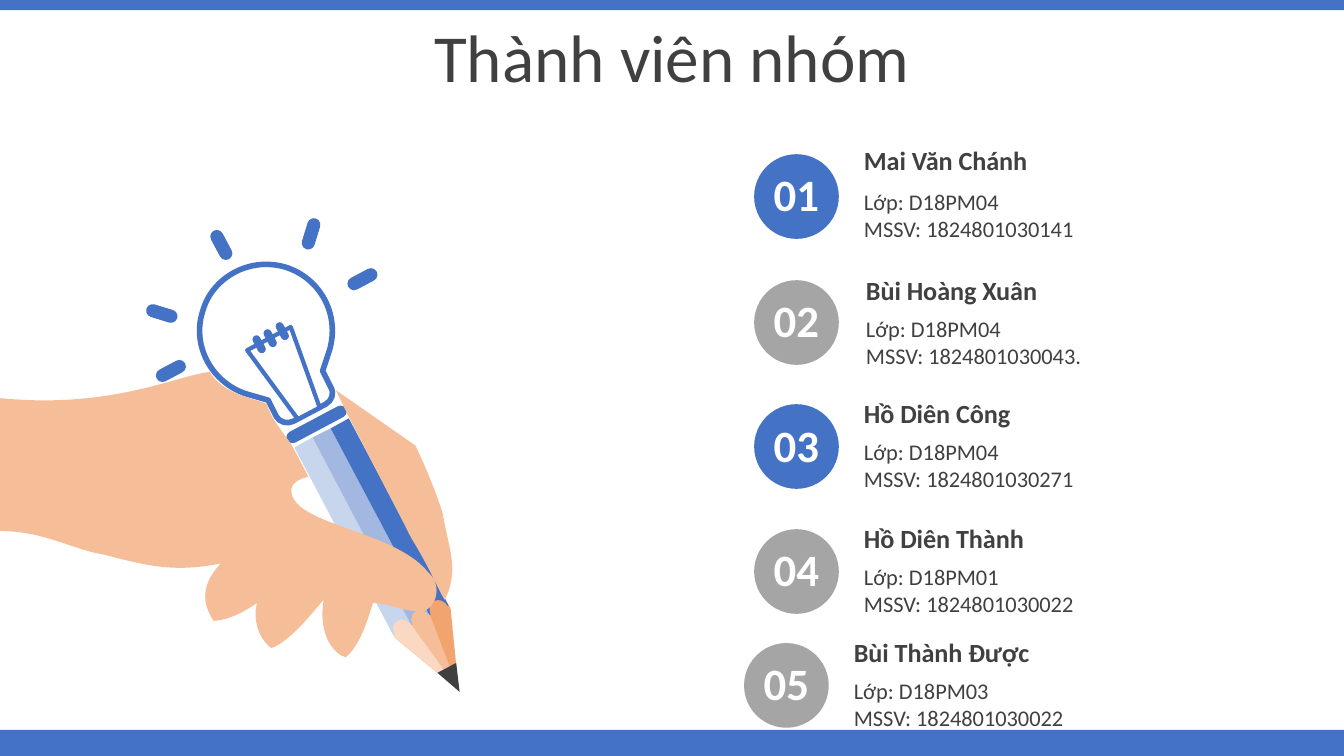
"""Build the team members slide with a hand drawing a light bulb pencil."""
from lxml.etree import SubElement
from pptx import Presentation
from pptx.dml.color import RGBColor
from pptx.enum.shapes import MSO_SHAPE
from pptx.enum.text import MSO_ANCHOR, MSO_AUTO_SIZE, PP_ALIGN
from pptx.oxml.ns import qn
from pptx.util import Pt

PX = 9144
FONT = "Calibri"
COLORS = {
    "blue": "4472C4",
    "mid_blue": "A2B8E1",
    "light_blue": "C7D5ED",
    "gray": "A5A5A5",
    "dark": "404040",
    "white": "FFFFFF",
    "orange": "F2A46F",
    "skin": "F6BE98",
    "light_skin": "FAD8C1",
}


def paint(shape, fill, line_width=0):
    shape.shadow.inherit = False
    shape.fill.solid()
    shape.fill.fore_color.rgb = RGBColor.from_string(COLORS[fill])
    if line_width:
        shape.line.color.rgb = RGBColor.from_string(COLORS["blue"])
        shape.line.width = Pt(line_width)
    else:
        shape.line.fill.background()


def add_text(container, box, lines, size, color="dark", bold=False, align=PP_ALIGN.LEFT):
    frame = container.add_textbox(*[value * PX for value in box]).text_frame
    frame.word_wrap = True
    frame.auto_size = MSO_AUTO_SIZE.SHAPE_TO_FIT_TEXT
    frame.text = "\n".join(lines)
    for paragraph in frame.paragraphs:
        paragraph.alignment = align
        paragraph.font.name = FONT
        paragraph.font.size = Pt(size)
        paragraph.font.bold = bold
        paragraph.font.color.rgb = RGBColor.from_string(COLORS[color])


presentation = Presentation()
presentation.slide_width = 1333 * PX
presentation.slide_height = 750 * PX
slide = presentation.slides.add_slide(presentation.slide_layouts[5])
shapes = slide.shapes

for top, height in [(724, 26), (0, 10)]:
    bar = shapes.add_shape(MSO_SHAPE.RECTANGLE, 0, top * PX, 1333 * PX, height * PX)
    paint(bar, "blue")

title = shapes.title
title.left, title.top, title.width, title.height = 0, 18 * PX, 1333 * PX, 84 * PX
title.text_frame.text = "Thành viên nhóm"
title.text_frame.auto_size = MSO_AUTO_SIZE.NONE
title.text_frame.vertical_anchor = MSO_ANCHOR.MIDDLE
heading = title.text_frame.paragraphs[0]
heading.alignment = PP_ALIGN.CENTER
heading.line_spacing = 0.9
heading.font.name = FONT
heading.font.size = Pt(48)
heading.font.color.rgb = RGBColor.from_string(COLORS["dark"])

artwork = shapes.add_group_shape().shapes
wood_outer = "M385,620 L440,591 L447,604 L455,685 L392,633"
wood_center = "M403,610 L421,600 L426,609 L455,685 L409,623"
wood_left = "M385,620 L403,610 C405,613 407,617 408,620 L454,684 L392,633"
stripe_left = (
    "M292,444 L310,434 L408,620 C404,615 399,613 394,616 C390,618 389,624 391,629 L390,630"
)
stripe_center = (
    "M310,434 L328,425 L426,610 C422,606 417,604 413,606 C408,608 407,614 409,620 L408,620"
)
stripe_right = (
    "M328,425 L346,415 L445,601 L444,601 C441,596 435,594 431,596 C426,599 425,604 427,610 L426,610"
)
bulb = (
    "M233,270 C248,262 266,260 283,265 C318,276 337,312 327,347 L320,368 L328,384 "
    "C332,390 329,398 323,401 L308,409 L291,418 C285,421 277,419 274,413 L266,397 "
    "C259,395 252,393 245,391 C210,380 190,343 201,309 C206,291 218,278 233,270"
)
hand = (
    "M333,387 L412,442 C423,465 433,490 439,509 C442,527 446,540 448,555 "
    "C450,568 447,585 441,595 C435,586 429,568 408,534 C391,500 352,427 333,387 "
    "M208,369 C223,393 254,395 265,401 C267,413 283,432 289,441 C296,454 300,462 306,473 "
    "C296,475 288,480 289,488 C292,521 390,526 424,567 C441,582 431,605 418,607 "
    "C399,606 394,601 370,598 C362,625 354,643 343,652 C333,650 315,632 321,595 "
    "C309,609 287,637 269,643 C255,632 251,613 255,598 C244,606 228,615 212,616 "
    "C195,591 207,572 219,559 C170,569 142,560 102,550 C71,545 42,526 -2,527 "
    "L0,395 C110,406 174,373 208,369"
)
outlines = [
    (artwork, wood_outer, "orange", 0),
    (artwork, wood_center, "skin", 0),
    (artwork, wood_left, "light_skin", 0),
    (artwork, stripe_left, "light_blue", 0),
    (artwork, stripe_center, "mid_blue", 0),
    (artwork, stripe_right, "blue", 0),
    (artwork, bulb, "white", 4),
    (shapes, hand, "skin", 0),
]
for container, outline, fill, line_width in outlines:
    contours = []
    commands = []
    for step in outline.split():
        command = step[0] if step[0] in "MLC" else command
        point = tuple(int(value) * PX for value in step.lstrip("MLC").split(","))
        if command == "M":
            contours.append([point])
        else:
            contours[-1].append(point)
            commands.append(command)
    builder = container.build_freeform(*contours[0][0])
    for number, contour in enumerate(contours):
        if number:
            builder.move_to(*contour[0])
        builder.add_line_segments(contour[1:], close=True)
    freeform = builder.convert_to_shape()
    paint(freeform, fill, line_width)
    segments = list(freeform.element.iter(qn("a:lnTo")))
    curved = [segment for segment, command in zip(segments, commands) if command == "C"]
    for first in range(0, len(curved), 3):
        curve = SubElement(curved[first].getparent(), qn("a:cubicBezTo"))
        curved[first].addprevious(curve)
        for segment in curved[first:first + 3]:
            curve.append(segment[0])
            segment.getparent().remove(segment)

pill = MSO_SHAPE.ROUNDED_RECTANGLE
rays = [(302, 216, 17), (154, 295, 287), (213, 227, 332), (353, 261, 62), (163, 352, 242)]
coils = [(253, 332), (264, 326), (276, 319)]
details = [
    (MSO_SHAPE.ISOSCELES_TRIANGLE, 439, 661, 21, 27, 152, "dark", 0),
    (MSO_SHAPE.TRAPEZOID, 262, 331, 49, 84, 152, "white", 3),
    *[(pill, left, top, 13, 32, angle, "blue", 0) for left, top, angle in rays],
    (pill, 281, 415, 66, 12, 332, "blue", 0),
    *[(pill, left, top, 8, 19, 332, "blue", 0) for left, top in coils],
]
for kind, left, top, width, height, angle, fill, line_width in details:
    detail = artwork.add_shape(kind, left * PX, top * PX, width * PX, height * PX)
    detail.rotation = angle
    if kind == pill:
        detail.adjustments[0] = 0.5
    paint(detail, fill, line_width)

members = [
    ("Mai Văn Chánh", "D18PM04", "1824801030141", "blue", 748, 153, 847, 138, 182),
    ("Bùi Hoàng Xuân", "D18PM04", "1824801030043.", "gray", 748, 278, 849, 267, 308),
    ("Hồ Diên Công", "D18PM04", "1824801030271", "blue", 748, 401, 847, 389, 430),
    ("Hồ Diên Thành", "D18PM01", "1824801030022", "gray", 748, 525, 847, 513, 554),
    ("Bùi Thành Được", "D18PM03", "1824801030022", "gray", 738, 638, 837, 626, 667),
]
for number, member in enumerate(members, start=1):
    name, group, code, fill, circle_left, circle_top, text_left, name_top, info_top = member
    circle = shapes.add_shape(
        MSO_SHAPE.OVAL, circle_left * PX, circle_top * PX, 84 * PX, 84 * PX
    )
    paint(circle, fill)
    number_box = (circle_left - 5, circle_top + 8, 94, 64)
    add_text(shapes, number_box, [f"{number:02}"], 32, "white", True, PP_ALIGN.CENTER)
    info = [f"Lớp: {group}", f"MSSV: {code}"]
    add_text(shapes, (text_left, info_top, 535, 64), info, 16)
    add_text(shapes, (text_left, name_top, 535, 42), [name], 18.67, bold=True)

presentation.save("out.pptx")
